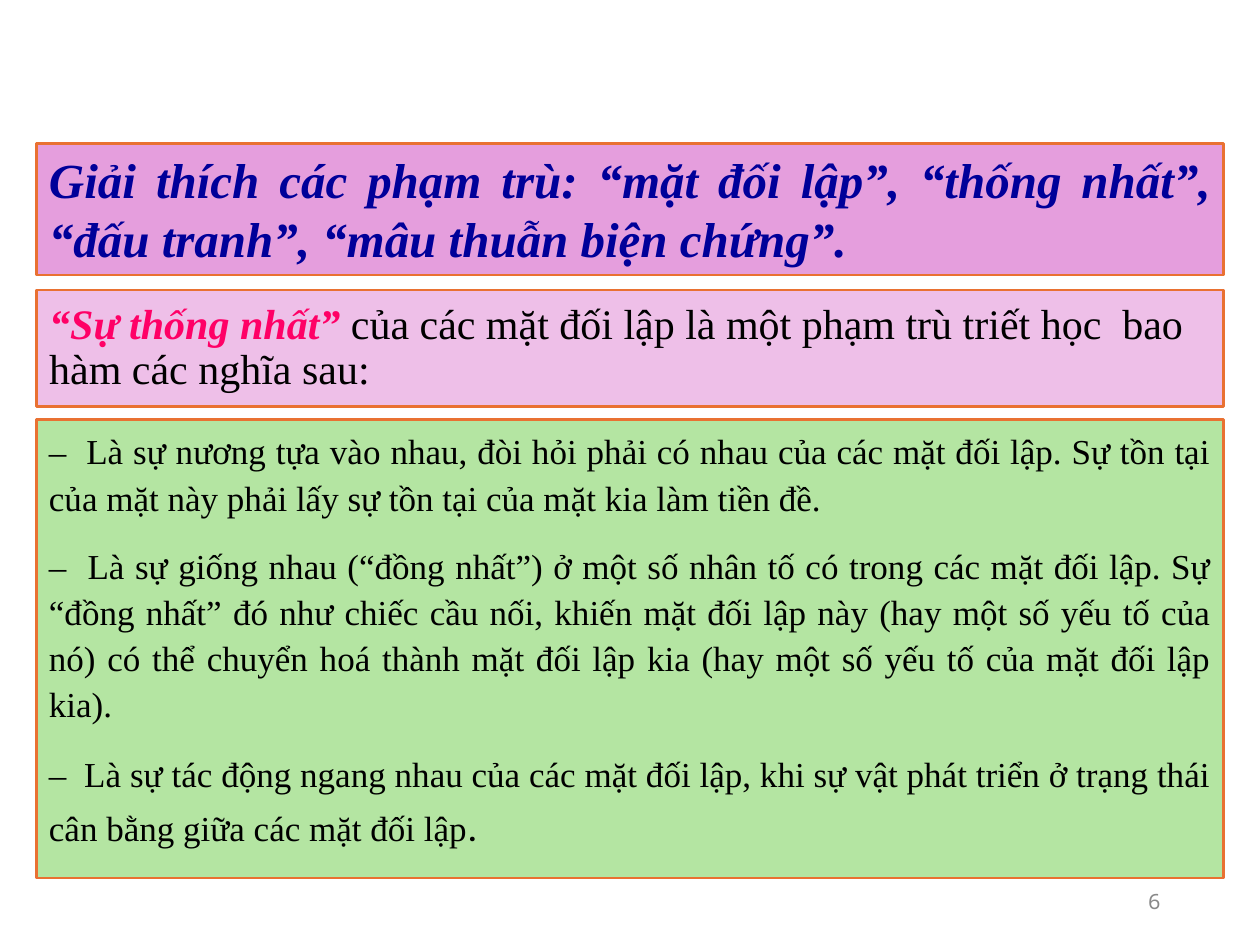
from lxml.etree import SubElement
from pptx import Presentation
from pptx.dml.color import RGBColor
from pptx.enum.shapes import MSO_SHAPE
from pptx.enum.text import MSO_ANCHOR, MSO_AUTO_SIZE, PP_ALIGN
from pptx.oxml.ns import qn
from pptx.util import Inches, Pt

# Shares of the slide's size
LEFT, WIDTH = 0.029, 0.942

SERIF = dict(name="Times New Roman", color="000000", bold=False, italic=False)
TITLE = dict(SERIF, size=Pt(24))
TERM = dict(TITLE, color="FF0066", bold=True, italic=True)
HEADING = dict(TERM, size=Pt(28), color="000099")
BODY = dict(SERIF, size=Pt(20))
STOP = dict(BODY, name="Roboto", size=Pt(24))
NUMBER = dict(name="Noto Sans Mono", size=Pt(12), color="898989")


def rgb(value):
    return RGBColor.from_string(value)


def para(*runs, align=PP_ALIGN.JUSTIFY, spacing=1.0, gap=0):
    fmt = dict(alignment=align, line_spacing=spacing,
               space_before=Pt(gap), space_after=Pt(gap))
    return runs, fmt


class Deck:
    line_color, line_width = "E97132", Pt(1.5)

    def __init__(self):
        self.prs = Presentation()
        self.prs.slide_width, self.prs.slide_height = Inches(10), Inches(7.5)
        self.s = self.prs.slides.add_slide(self.prs.slide_layouts[5])

    def box(self, x, y, w, h):
        sw, sh = self.prs.slide_width, self.prs.slide_height
        return int(x * sw), int(y * sh), int(w * sw), int(h * sh)

    def set_text(self, sp, paras, anchor):
        tf = sp.text_frame
        frame = dict(word_wrap=True, auto_size=MSO_AUTO_SIZE.NONE, vertical_anchor=anchor,
                     margin_left=Inches(0.1), margin_right=Inches(0.1),
                     margin_top=Inches(0.05), margin_bottom=Inches(0.05))
        for key, value in frame.items():
            setattr(tf, key, value)
        for i, (runs, fmt) in enumerate(paras):
            p = tf.add_paragraph() if i else tf.paragraphs[0]
            for key, value in fmt.items():
                setattr(p, key, value)
            for text, font in runs:
                r = p.add_run()
                r.text = text
                for key, value in font.items():
                    if key == "color":
                        r.font.color.rgb = rgb(value)
                    else:
                        setattr(r.font, key, value)

    def paint(self, sp, fill, alpha=None):
        sp.fill.solid()
        sp.fill.fore_color.rgb = rgb(fill)
        if alpha:
            clr = sp.element.spPr.find(qn("a:solidFill")).find(qn("a:srgbClr"))
            SubElement(clr, qn("a:alpha"), val=str(alpha * 1000))
        sp.line.color.rgb = rgb(self.line_color)
        sp.line.width = self.line_width

    def title(self, y, h, fill, alpha, paras):
        sp = self.s.shapes.title
        sp.left, sp.top, sp.width, sp.height = self.box(LEFT, y, WIDTH, h)
        self.paint(sp, fill, alpha)
        self.set_text(sp, paras, MSO_ANCHOR.MIDDLE)

    def panel(self, y, h, fill, paras):
        sp = self.s.shapes.add_shape(MSO_SHAPE.RECTANGLE, *self.box(LEFT, y, WIDTH, h))
        sp.shadow.inherit = False
        self.paint(sp, fill)
        self.set_text(sp, paras, MSO_ANCHOR.TOP)

    def label(self, x, y, w, h, paras):
        sp = self.s.shapes.add_textbox(*self.box(x, y, w, h))
        self.set_text(sp, paras, MSO_ANCHOR.MIDDLE)


def main():
    deck = Deck()

    # Title: the term being defined
    deck.title(0.307, 0.123, "E59EDD", 65, [para(
        ("“Sự thống nhất”", TERM),
        (" của các mặt đối lập là một phạm trù triết học  bao hàm các nghĩa sau:", TITLE),
        align=PP_ALIGN.LEFT, spacing=0.9)])

    # Three meanings
    deck.panel(0.444, 0.485, "B4E5A2", [
        para(("–  Là sự nương tựa vào nhau, đòi hỏi phải có nhau của các mặt đối lập. "
              "Sự tồn tại của mặt này phải lấy sự tồn tại của mặt kia làm tiền đề.", BODY),
             spacing=1.1, gap=6.2),
        para(("–  Là sự giống nhau (“đồng nhất”) ở một số nhân tố có trong các mặt đối lập. "
              "Sự “đồng nhất” đó như chiếc cầu nối, khiến mặt đối lập này (hay một số yếu tố "
              "của nó) có thể chuyển hoá thành mặt đối lập kia (hay một số yếu tố của mặt "
              "đối lập kia). ", BODY),
             spacing=1.1, gap=6.2),
        para(("–  Là sự tác động ngang nhau của các mặt đối lập, khi sự vật phát triển ở "
              "trạng thái cân bằng giữa các mặt đối lập", BODY), (". ", STOP),
             spacing=1.1, gap=7.5)])

    # Slide number
    deck.label(0.706, 0.927, 0.225, 0.053, [para(("6", NUMBER), align=PP_ALIGN.RIGHT)])

    # Heading: the question
    deck.panel(0.152, 0.139, "E59EDD", [para(
        ("Giải thích các phạm trù: “mặt đối lập”, “thống nhất”, “đấu tranh”, "
         "“mâu thuẫn biện chứng”.", HEADING))])

    deck.prs.save("out.pptx")


if __name__ == "__main__":
    main()
